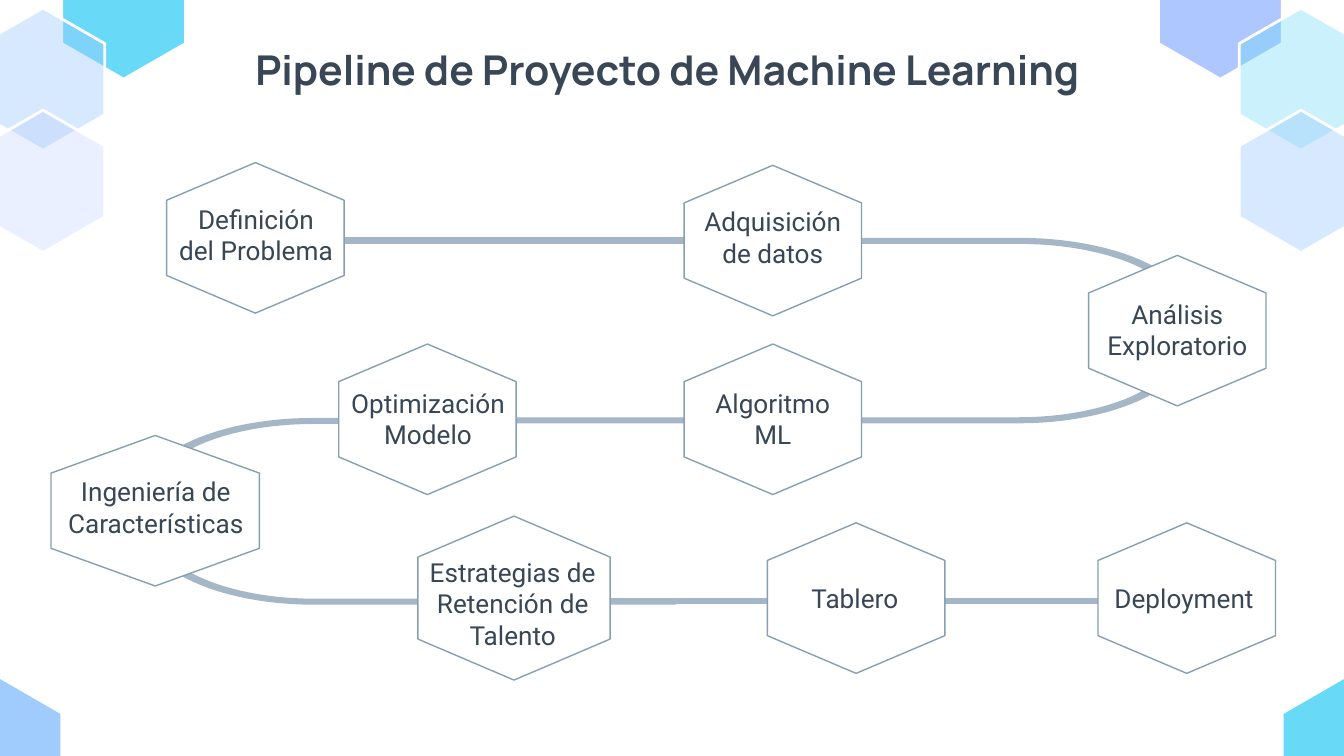
from math import cos, pi, sin
from lxml import etree
from pptx import Presentation
from pptx.dml.color import RGBColor as RGB
from pptx.enum.shapes import MSO_CONNECTOR as CONN
from pptx.enum.text import PP_ALIGN as ALIGN
from pptx.oxml.ns import qn
from pptx.util import Pt

PX = 9144
COLORS = {
    "cyan": "68DAF8", "blue": "9FCBFD", "violet": "AFC7FF", "white": "FFFFFF",
    "pipe": "A5B7C6", "edge": "869FB2", "text": "384655",
}

prs = Presentation()
prs.slide_width = 1000 * PX
prs.slide_height = 1000 * PX * 9 // 16
s = prs.slides.add_slide(prs.slide_layouts[6])


def polygon(points, fill, edge=None, width=0.75, alpha=100):
    pts = [(round(x * PX), round(y * PX)) for x, y in points]
    fb = s.shapes.build_freeform(*pts[0])
    fb.add_line_segments(pts[1:], close=True)
    sp = fb.convert_to_shape()
    sp.shadow.inherit = False
    sp.fill.solid()
    sp.fill.fore_color.rgb = RGB.from_string(COLORS[fill])
    if alpha < 100:
        clr = sp.fill._xPr.find(".//" + qn("a:srgbClr"))
        etree.SubElement(clr, qn("a:alpha")).set("val", str(alpha * 1000))
    if edge:
        sp.line.color.rgb = RGB.from_string(COLORS[edge])
        sp.line.width = Pt(width)
    else:
        sp.line.fill.background()


def hexagon(x, y, w, h):
    cx, top, low = x + w / 2, y + h / 4, y + h * 3 / 4
    return [(cx, y), (x, top), (x, low), (cx, y + h), (x + w, low), (x + w, top)]


corners = [
    (46, -47, "cyan", 100), (862, -47, "violet", 100),
    (922, 6, "cyan", 34), (922, 82, "blue", 41),
    (-14, 6, "blue", 41), (-14, 82, "violet", 25),
    (-46, 504, "blue", 100), (954, 504, "cyan", 100),
]
for x, y, color, alpha in corners:
    polygon(hexagon(x, y, 92, 106), color, "white", 1.5, alpha)

bends = [
    (233, 390, -1, 1, 60, 503),
    (233, 369, -1, -1, 58, 262),
    (758, 256, 1, 1, 59, 306),
    (758, 233, 1, -1, 56, 616),
]
angles = [i * pi / 48 for i in range(25)]
for cx, cy, dx, dy, ry, tail in bends:
    outer, inner = [
        [(cx + dx * a * cos(t), cy + dy * b * sin(t)) for t in angles] + [(tail, cy + dy * b)]
        for a, b in ((128, ry), (120, ry - 4.5))
    ]
    polygon(outer + inner[::-1], "pipe")

for x1, x2, y in ((124, 570, 179), (440, 634, 447), (678, 872, 447)):
    line = s.shapes.add_connector(CONN.STRAIGHT, x1 * PX, y * PX, x2 * PX, y * PX)
    line.line.color.rgb = RGB.from_string(COLORS["pipe"])
    line.line.width = Pt(3.25)
    etree.SubElement(line._element.spPr, qn("a:effectLst"))

steps = [(x, y, 132, 112) for x, y in (
    (124, 121), (509, 123), (810, 190), (509, 256), (252, 256), (571, 389), (817, 389),
)] + [(38, 324, 155, 112), (311, 384, 143, 122)]
for box in steps:
    polygon(hexagon(*box), "white", "edge")

title = {"size": Pt(22), "name": "Manrope", "bold": True}
label = {"size": Pt(14), "name": "Roboto"}
texts = [
    (75, 23, 843, 63, ["Pipeline de Proyecto de Machine Learning"], title),
    (110, 141, 161, 67, ["Definición", "del Problema"], label),
    (509, 143, 132, 67, ["Adquisición de datos"], label),
    (810, 212, 132, 67, ["Análisis Exploratorio"], label),
    (509, 278, 132, 67, ["Algoritmo ML"], label),
    (246, 278, 145, 67, ["Optimización Modelo"], label),
    (38, 344, 156, 67, ["Ingeniería de Características"], label),
    (307, 404, 149, 91, ["Estrategias de Retención de Talento"], label),
    (570, 423, 132, 44, ["Tablero"], label),
    (815, 423, 132, 44, ["Deployment"], label),
]
for x, y, w, h, lines, font in texts:
    tf = s.shapes.add_textbox(x * PX, y * PX, w * PX, h * PX).text_frame
    tf.word_wrap = True
    for side in ("left", "top", "right", "bottom"):
        setattr(tf, "margin_" + side, 10 * PX)
    for i, words in enumerate(lines):
        p = tf.add_paragraph() if i else tf.paragraphs[0]
        p.alignment = ALIGN.CENTER
        r = p.add_run()
        r.text = words
        r.font.color.rgb = RGB.from_string(COLORS["text"])
        for key, value in font.items():
            setattr(r.font, key, value)

prs.save("out.pptx")
